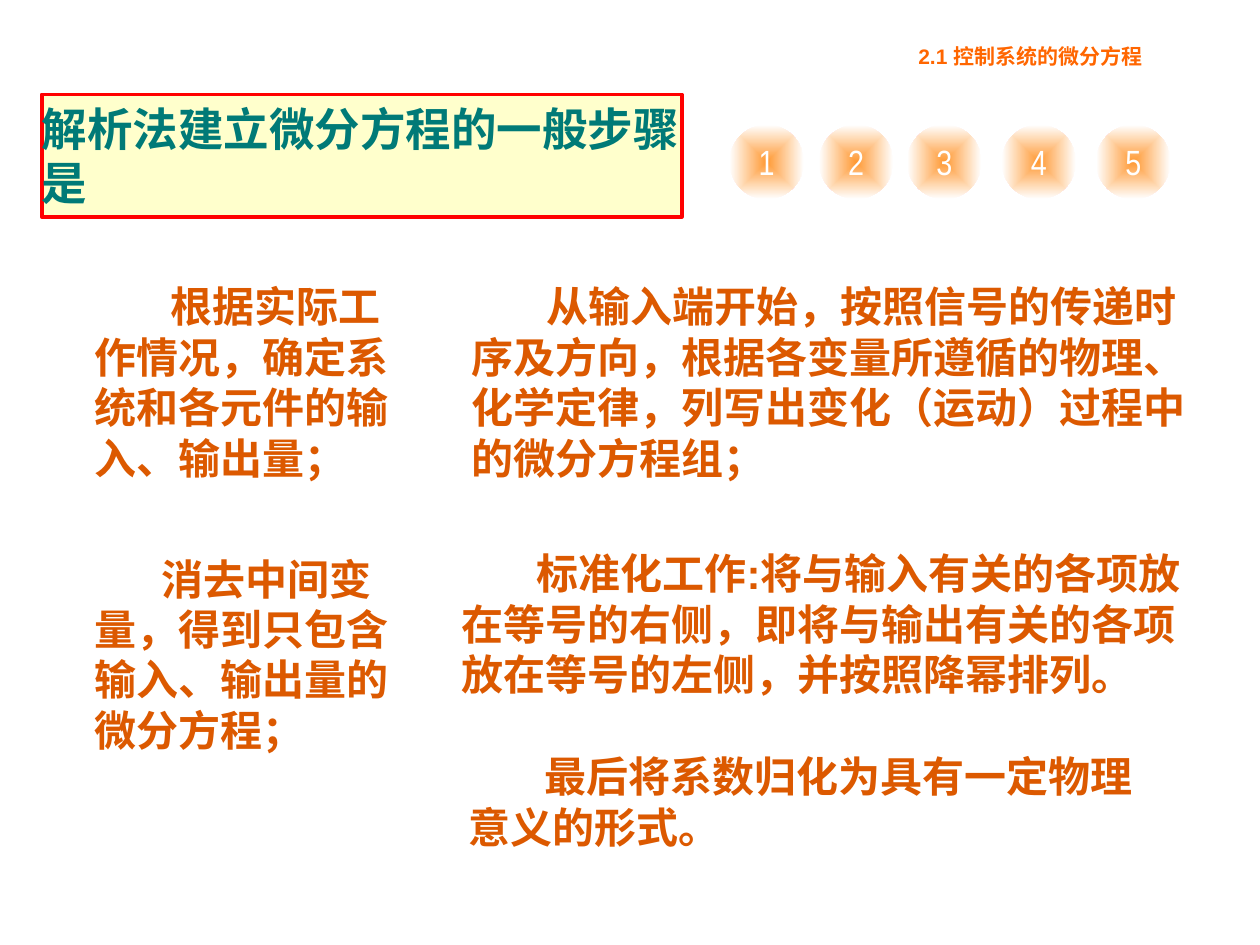
from dataclasses import dataclass

import pptx
import pptx.dml.color
import pptx.enum.dml
import pptx.enum.shapes
import pptx.enum.text
import pptx.oxml
import pptx.oxml.ns
import pptx.util
from pptx.util import Inches


@dataclass(frozen=True)
class Theme:
    header: str = "FF6600"
    title: str = "007A77"
    title_fill: str = "FFFFCC"
    title_line: str = "FF0000"
    body: str = "DC5900"
    badge_centre: str = "FF9933"
    white: str = "FFFFFF"
    font: str = "Arial"
    badge_font: str = "Arial Narrow"
    header_size: int = 12
    title_size: int = 26
    body_size: int = 24
    badge_size: int = 20


@dataclass(frozen=True)
class Step:
    left: float
    top: float
    width: float
    height: float
    text: str
    indent: float = 0.6


THEME = Theme()
BADGE_LEFTS = (5.79, 6.5, 7.2, 7.95, 8.7)
BADGE_TOP, BADGE_SIZE = 0.99, 0.59
STEPS = (
    Step(0.75, 2.18, 2.52, 1.7, "根据实际工作情况，确定系统和各元件的输入、输出量；"),
    Step(3.74, 2.18, 5.71, 1.7,
         "从输入端开始，按照信号的传递时序及方向，根据各变量所遵循的物理、"
         "化学定律，列写出变化（运动）过程中的微分方程组；"),
    Step(0.75, 4.34, 2.44, 1.7, "消去中间变量，得到只包含输入、输出量的微分方程；", 0.53),
    Step(3.66, 4.3, 5.91, 1.3,
         "标准化工作:将与输入有关的各项放在等号的右侧，"
         "即将与输出有关的各项放在等号的左侧，并按照降幂排列。"),
    Step(3.72, 5.91, 5.51, 0.9, "最后将系数归化为具有一定物理意义的形式。"),
)


def rgb(value: str) -> pptx.dml.color.RGBColor:
    return pptx.dml.color.RGBColor.from_string(value)


def write_text(shape, text: str, size: int, color: str, font: str = THEME.font,
               bold: bool = True, side: float = 0, indent: float = 0,
               centred: bool = False, wrap: bool = True) -> None:
    """Put one formatted paragraph into a shape."""
    align, anchor = pptx.enum.text.PP_ALIGN, pptx.enum.text.MSO_ANCHOR
    frame_format = {
        "word_wrap": wrap,
        "auto_size": pptx.enum.text.MSO_AUTO_SIZE.NONE,
        "vertical_anchor": anchor.MIDDLE if centred else anchor.TOP,
        "margin_left": Inches(side),
        "margin_right": Inches(side),
        "margin_top": Inches(0.05),
        "margin_bottom": Inches(0.05),
    }
    for name, value in frame_format.items():
        setattr(shape.text_frame, name, value)

    paragraph = shape.text_frame.paragraphs[0]
    paragraph.alignment = align.CENTER if centred else align.LEFT
    if indent:
        properties = paragraph._p.get_or_add_pPr()
        properties.set("marL", "0")
        properties.set("indent", str(Inches(indent)))
    run = paragraph.add_run()
    run.text = text
    font_format = {"name": font, "size": pptx.util.Pt(size), "bold": bold}
    for name, value in font_format.items():
        setattr(run.font, name, value)
    run.font.color.rgb = rgb(color)


def add_badge(slide, left: float, number: int) -> None:
    """Draw a numbered circle that fades to white from its centre."""
    shape = slide.shapes.add_shape(
        pptx.enum.shapes.MSO_SHAPE.OVAL, Inches(left), Inches(BADGE_TOP),
        Inches(BADGE_SIZE), Inches(BADGE_SIZE))
    shape.shadow.inherit = False
    shape.line.fill.background()
    shape.fill.gradient()
    stops = zip(shape.fill.gradient_stops, (THEME.badge_centre, THEME.white), (0, 1))
    for stop, color, position in stops:
        stop.color.rgb = rgb(color)
        stop.position = position
    # Swap the linear direction for a rectangular path
    qn = pptx.oxml.ns.qn
    gradient = shape._element.spPr.find(qn("a:gradFill"))
    gradient.replace(gradient.find(qn("a:lin")), pptx.oxml.parse_xml(
        f'<a:path {pptx.oxml.ns.nsdecls("a")} path="rect">'
        '<a:fillToRect l="50000" t="50000" r="50000" b="50000"/></a:path>'))
    write_text(shape, str(number), THEME.badge_size, THEME.white,
               THEME.badge_font, bold=False, side=0.1, centred=True, wrap=False)


def add_step(slide, step: Step) -> None:
    box = slide.shapes.add_textbox(Inches(step.left), Inches(step.top),
                                   Inches(step.width), Inches(step.height))
    write_text(box, step.text, THEME.body_size, THEME.body, indent=step.indent)


def add_title(slide) -> None:
    title = slide.shapes.title
    place = {"left": 0.33, "top": 0.75, "width": 5.08, "height": 0.97}
    for name, value in place.items():
        setattr(title, name, Inches(value))
    title.fill.solid()
    title.fill.fore_color.rgb = rgb(THEME.title_fill)
    title.line.color.rgb = rgb(THEME.title_line)
    title.line.width = pptx.util.Pt(2.25)
    write_text(title, "解析法建立微分方程的一般步骤是", THEME.title_size, THEME.title)


def main() -> None:
    presentation = pptx.Presentation()
    presentation.slide_width = Inches(10)
    presentation.slide_height = Inches(7.5)
    slide = presentation.slides.add_slide(presentation.slide_layouts[5])

    # Section header and title
    header = slide.shapes.add_textbox(Inches(7.19), Inches(0.3), Inches(2.1), Inches(0.3))
    write_text(header, "2.1 控制系统的微分方程", THEME.header_size, THEME.header, side=0.1)
    add_title(slide)

    # Steps and their numbered badges
    for step in STEPS:
        add_step(slide, step)
    for number, left in enumerate(BADGE_LEFTS, start=1):
        add_badge(slide, left, number)

    presentation.save("out.pptx")


if __name__ == "__main__":
    main()
